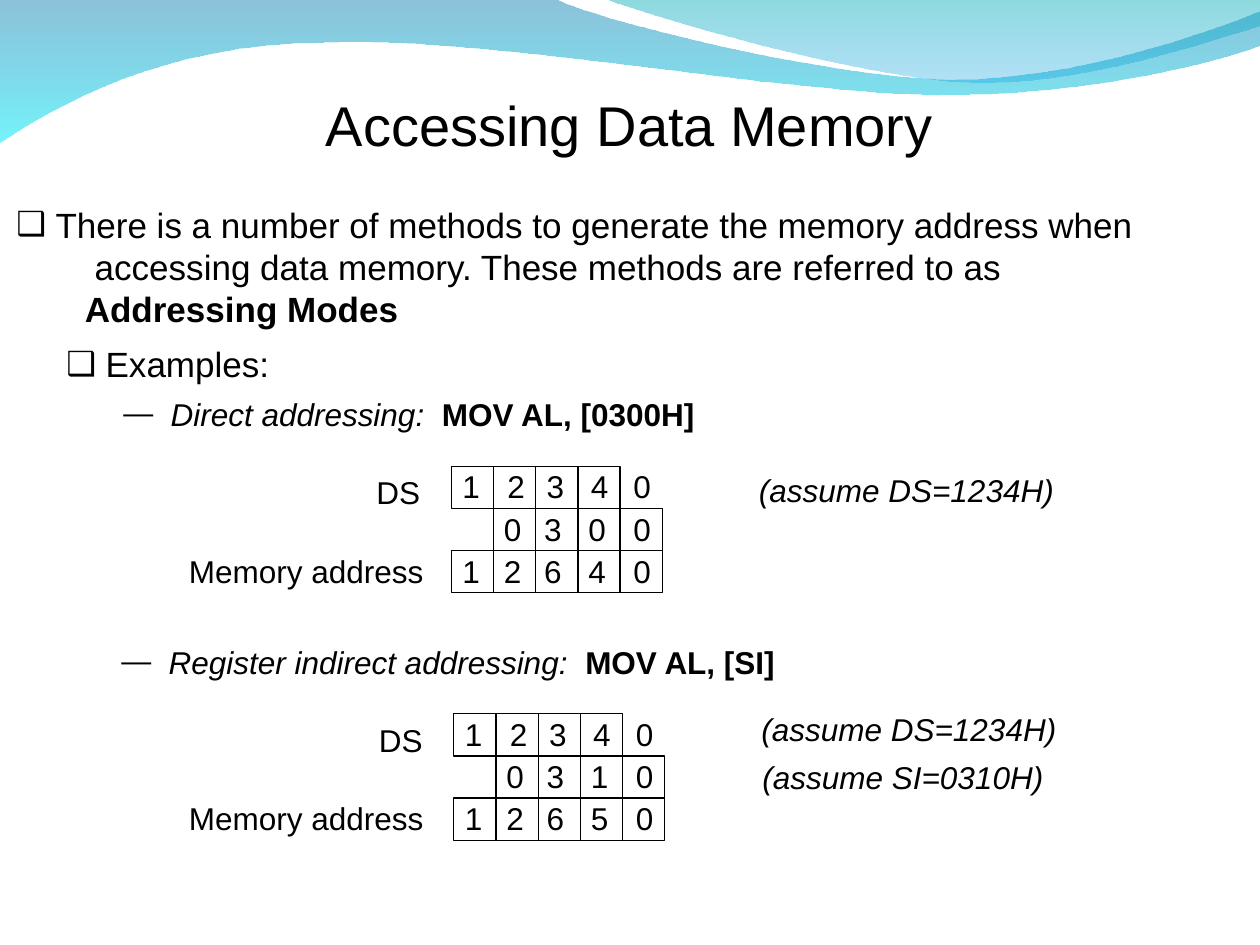
from dataclasses import dataclass

from lxml.etree import SubElement
from pptx import Presentation
from pptx.dml.color import RGBColor
from pptx.enum.shapes import MSO_CONNECTOR as Connector, MSO_SHAPE as Shape
from pptx.enum.text import MSO_AUTO_SIZE as AutoSize, PP_ALIGN as Align
from pptx.oxml.ns import qn
from pptx.util import Cm, Pt

COLORS = {
    "ink": "000000",
    "paper": "FFFFFF",
    "deep": "0079AF",
    "aqua": "00EBF8",
    "teal": "00ADB6",
    "sky": "009BE5",
}
FONT = "Arial"
CELL = 0.85
LINE_HEIGHT = 1.01
DIGIT_RISE = 0.1
TOP_DIGIT_COLUMNS = (-0.03, 0.88, 1.67, 2.56, 3.42)
DIGIT_COLUMNS = (-0.03, 0.81, 1.62, 2.51, 3.42)


@dataclass(frozen=True)
class Wave:
    start: tuple
    segments: tuple
    stops: tuple


@dataclass(frozen=True)
class Span:
    text: str
    bold: bool = False
    italic: bool = False
    spacing: int = 0


@dataclass(frozen=True)
class Line:
    spans: tuple
    margin: float
    mark: str = ""


@dataclass(frozen=True)
class Bullet:
    left: float
    top: float
    width: float
    height: float
    size: int
    lines: tuple


@dataclass(frozen=True)
class DigitRow:
    first: int
    digits: str
    boxed: int
    columns: tuple = DIGIT_COLUMNS


@dataclass(frozen=True)
class Assumption:
    text: str
    left: float
    top: float
    width: float


@dataclass(frozen=True)
class Calculation:
    left: float
    top: float
    rows: tuple
    assumptions: tuple


def addressing(mode: str, code: str) -> tuple:
    spans = (Span(mode, italic=True), Span(" ", spacing=500), Span(code, bold=True))
    return (Line(spans, 0.95, "—"),)


WAVES = (
    Wave(
        (0, 0),
        (
            ((11.23, 0),),
            ((12.09, 0.43), (16.87, 1.6), (19.25, 1.6)),
            ((21.67, 1.6), (24.33, 0.66), (25.4, 0.23)),
            ((25.4, 0.91),),
            ((24.97, 1.12), (22.1, 1.93), (18.95, 1.91)),
            ((15.8, 1.91), (9.7, 0.71), (6.53, 0.86)),
            ((3.28, 0.89), (1.17, 2.11), (0, 2.87)),
        ),
        (("deep", 45), ("aqua", 55)),
    ),
    Wave(
        (12.22, 0),
        (
            ((12.93, 0.28), (17.32, 1.57), (19.53, 1.65)),
            ((21.74, 1.75), (24.41, 0.81), (25.4, 0.53)),
            ((25.4, 0),),
        ),
        (("teal", 45), ("sky", 30)),
    ),
)
INTRO = (
    Line((Span("There is a number of methods to generate the memory address when"),), 0.79, "❑"),
    Line((Span("accessing data memory. These methods are referred to as"),), 1.58),
    Line((Span("Addressing Modes", bold=True),), 1.38),
)
BULLETS = (
    Bullet(0.08, 3.97, 23.24, 2.79, 20, INTRO),
    Bullet(1.09, 6.78, 5.18, 1.12, 20, (Line((Span("Examples:"),), 0.79, "❑"),)),
    Bullet(2.24, 7.83, 12.22, LINE_HEIGHT, 18,
           addressing("Direct addressing:", "MOV AL, [0300H]")),
    Bullet(2.2, 12.83, 13.87, LINE_HEIGHT, 18,
           addressing("Register indirect addressing:", "MOV AL, [SI]")),
)
SEGMENT_ROW = DigitRow(0, "12340", 4, TOP_DIGIT_COLUMNS)
CALCULATIONS = (
    Calculation(
        9.1, 9.4,
        (SEGMENT_ROW, DigitRow(1, "0300", 4), DigitRow(0, "12640", 5)),
        (Assumption("(assume DS=1234H)", 15.05, 9.38, 6.45),),
    ),
    Calculation(
        9.15, 14.39,
        (SEGMENT_ROW, DigitRow(1, "0310", 4), DigitRow(0, "12650", 5)),
        (
            Assumption("(assume DS=1234H)", 15.1, 14.18, 6.45),
            Assumption("(assume SI=0310H)", 15.12, 15.15, 6.17),
        ),
    ),
)


def rgb(name: str) -> RGBColor:
    return RGBColor.from_string(COLORS[name])


def style_font(font, size: int, italic: bool = False) -> None:
    font.name, font.size, font.italic = FONT, Pt(size), italic
    font.color.rgb = rgb("ink")


def bend_segments(ribbon, segments: tuple) -> None:
    steps = iter(list(ribbon._element.iter(qn("a:lnTo"))))
    for segment in segments:
        members = [next(steps) for _ in segment]
        if len(members) == 3:
            curve, *rest = members
            bezier = curve.makeelement(qn("a:cubicBezTo"))
            curve.addprevious(bezier)
            for member in (curve, *rest):
                bezier.append(member[0])
                member.getparent().remove(member)


def draw_wave(shapes, wave: Wave) -> None:
    outline = [(Cm(x), Cm(y)) for segment in wave.segments for x, y in segment]
    builder = shapes.build_freeform(*map(Cm, wave.start))
    builder.add_line_segments(outline, close=True)
    ribbon = builder.convert_to_shape()
    bend_segments(ribbon, wave.segments)
    ribbon.shadow.inherit = False
    ribbon.line.fill.background()
    ribbon.fill.gradient()
    ribbon.fill.gradient_angle = 270
    for stop, (color, _) in zip(ribbon.fill.gradient_stops, wave.stops):
        stop.color.rgb = rgb(color)
    for color_element, (_, opacity) in zip(ribbon._element.spPr.iter(qn("a:srgbClr")), wave.stops):
        SubElement(color_element, qn("a:alpha"), val=str(opacity * 1000))


def add_label(shapes, text: str, left: float, top: float, width: float, italic: bool = False) -> None:
    label = shapes.add_textbox(Cm(left), Cm(top), Cm(width), Cm(LINE_HEIGHT))
    label.text_frame.word_wrap = False
    label.text_frame.auto_size = AutoSize.SHAPE_TO_FIT_TEXT
    paragraph = label.text_frame.paragraphs[0]
    paragraph.text = text
    style_font(paragraph.font, 18, italic)


def draw_title(shapes) -> None:
    title = shapes.add_textbox(Cm(1.48), Cm(1.7), Cm(22.43), Cm(1.63))
    title.text_frame.word_wrap = True
    paragraph = title.text_frame.paragraphs[0]
    paragraph.text = "Accessing Data Memory"
    paragraph.alignment = Align.CENTER
    style_font(paragraph.font, 32)


def draw_bullet(shapes, bullet: Bullet) -> None:
    box = shapes.add_textbox(*map(Cm, (bullet.left, bullet.top, bullet.width, bullet.height)))
    frame = box.text_frame
    frame.word_wrap = True
    for index, line in enumerate(bullet.lines):
        paragraph = frame.add_paragraph() if index else frame.paragraphs[0]
        properties = paragraph._p.get_or_add_pPr()
        properties.set("marL", str(Cm(line.margin)))
        if line.mark:
            properties.set("indent", str(-Cm(line.margin)))
            mark_color = SubElement(properties, qn("a:buClr"))
            SubElement(mark_color, qn("a:srgbClr"), val=COLORS["ink"])
            SubElement(properties, qn("a:buSzPct"), val="95000")
            SubElement(properties, qn("a:buFont"), typeface=FONT)
            SubElement(properties, qn("a:buChar"), char=line.mark)
        style_font(paragraph.font, bullet.size)
        for span in line.spans:
            run = paragraph.add_run()
            run.text = span.text
            run.font.bold, run.font.italic = span.bold, span.italic
            if span.spacing:
                run.font._element.set("spc", str(span.spacing))


def draw_row(shapes, row: DigitRow, left: float, top: float) -> None:
    start = left + row.first * CELL
    frame = shapes.add_shape(Shape.RECTANGLE, Cm(start), Cm(top), Cm(row.boxed * CELL), Cm(CELL))
    frame.shadow.inherit = False
    frame.fill.solid()
    frame.fill.fore_color.rgb = rgb("paper")
    dividers = []
    for column in range(1, row.boxed):
        x = Cm(start + column * CELL)
        divider = shapes.add_connector(Connector.STRAIGHT, x, Cm(top), x, Cm(top + CELL))
        SubElement(divider._element.spPr, qn("a:effectLst"))
        dividers.append(divider)
    for ruled in (frame, *dividers):
        ruled.line.color.rgb = rgb("ink")
        ruled.line.width = Pt(0.75)
    for digit, offset in zip(row.digits, row.columns[row.first:]):
        add_label(shapes, digit, left + offset, top - DIGIT_RISE, 0.87)


def draw_calculation(shapes, calculation: Calculation) -> None:
    members = shapes.add_group_shape().shapes
    left, top = calculation.left, calculation.top
    for index, row in enumerate(calculation.rows):
        draw_row(members, row, left, top + index * CELL)
    add_label(members, "DS", left - 1.76, top + 0.02, 1.42)
    add_label(members, "Memory address", 3.56, top + 2 * CELL - DIGIT_RISE, 5.23)
    for note in calculation.assumptions:
        add_label(members, note.text, note.left, note.top, note.width, italic=True)


def main() -> None:
    deck = Presentation()
    deck.slide_width, deck.slide_height = Cm(25.4), Cm(19.05)
    shapes = deck.slides.add_slide(deck.slide_layouts[6]).shapes
    for wave in WAVES:
        draw_wave(shapes, wave)
    draw_title(shapes)
    for bullet in BULLETS:
        draw_bullet(shapes, bullet)
    for calculation in CALCULATIONS:
        draw_calculation(shapes, calculation)
    deck.save("out.pptx")


if __name__ == "__main__":
    main()
